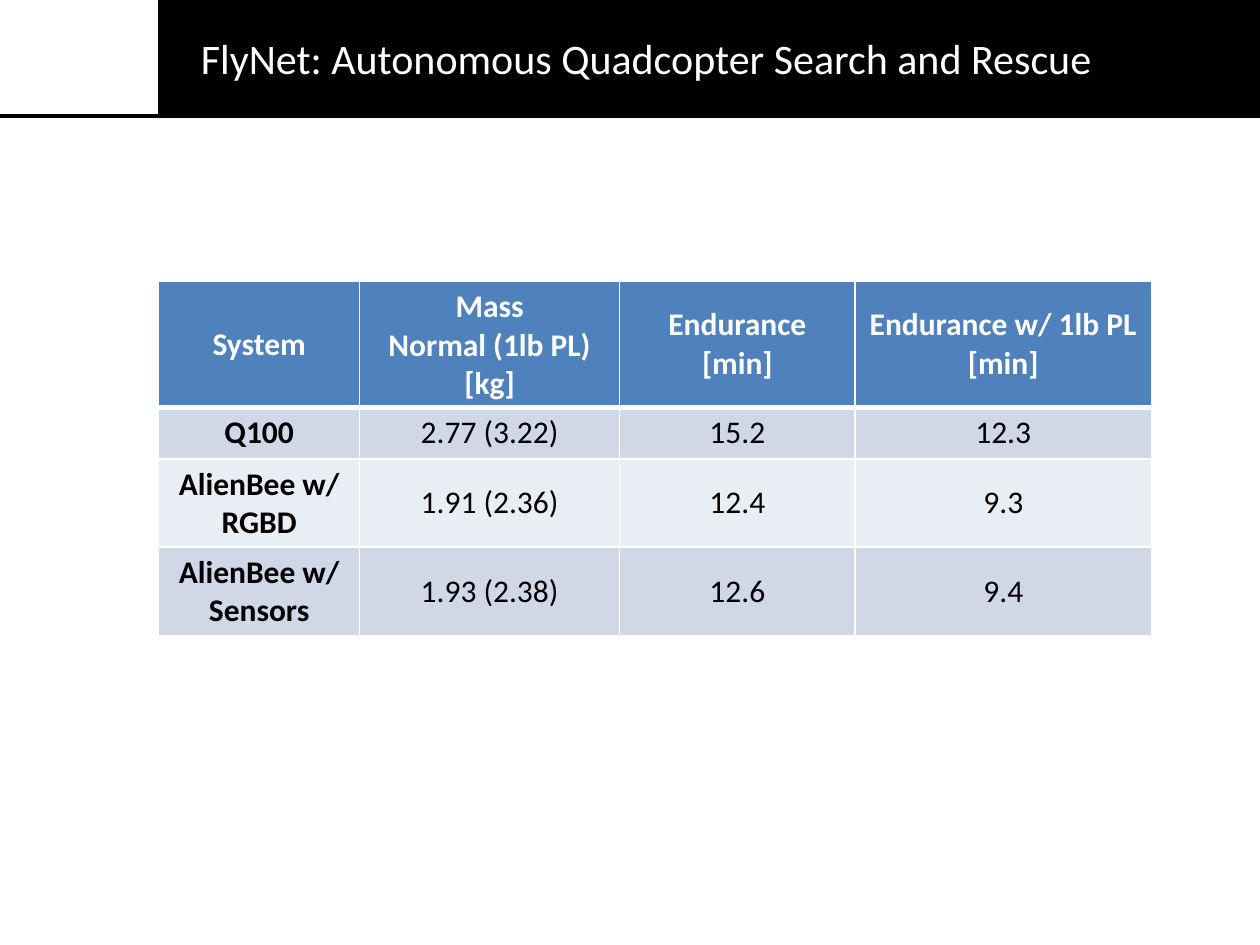
from lxml import etree
from pptx import Presentation
from pptx import util as u
from pptx.dml.color import RGBColor
from pptx.enum import shapes, text
from pptx.oxml import ns

BLACK = RGBColor(0x00, 0x00, 0x00)
WHITE = RGBColor(0xFF, 0xFF, 0xFF)
HEADER_BLUE = RGBColor(0x4F, 0x81, 0xBD)
BAND_DARK = RGBColor(0xD0, 0xD8, 0xE8)
BAND_LIGHT = RGBColor(0xE9, 0xED, 0xF4)
FONT = "Calibri"


def add_run(paragraph, words, size, color, bold=False):
    paragraph.alignment = text.PP_ALIGN.CENTER
    run = paragraph.add_run()
    run.text = words
    run.font.name = FONT
    run.font.size = u.Pt(size)
    run.font.bold = bold
    run.font.color.rgb = color


def set_borders(cell, widths):
    properties = cell._tc.get_or_add_tcPr()
    for position, (side, width) in enumerate(widths.items()):
        border = etree.Element(ns.qn(f"a:ln{side}"), w=str(u.Pt(width)))
        fill = etree.SubElement(border, ns.qn("a:solidFill"))
        etree.SubElement(fill, ns.qn("a:srgbClr"), val=str(WHITE))
        properties.insert(position, border)


presentation = Presentation()
presentation.slide_width = u.Cm(25.4)
presentation.slide_height = u.Cm(19.05)
slide = presentation.slides.add_slide(presentation.slide_layouts[6])

# Rule under the header
rule = slide.shapes.add_connector(
    shapes.MSO_CONNECTOR.STRAIGHT, u.Cm(0), u.Cm(2.34), u.Cm(25.4), u.Cm(2.34))
rule.line.color.rgb = BLACK
rule.line.width = u.Pt(2)
etree.SubElement(rule._element.spPr, ns.qn("a:effectLst"))

# Title bar
bar = slide.shapes.add_shape(
    shapes.MSO_SHAPE.RECTANGLE, u.Cm(3.2), u.Cm(0), u.Cm(22.2), u.Cm(2.31))
bar.shadow.inherit = False
bar.fill.solid()
bar.fill.fore_color.rgb = BLACK
bar.line.color.rgb = BLACK
bar.line.width = u.Pt(0.75)

# Title
title = slide.shapes.add_textbox(u.Cm(3.33), u.Cm(0.53), u.Cm(19.4), u.Cm(1.28))
title.text_frame.word_wrap = True
add_run(title.text_frame.paragraphs[0],
        "FlyNet: Autonomous Quadcopter Search and Rescue", 24, WHITE)

# Endurance table: each cell is a list of paragraphs split at line ends
rows = [
    ["System", "Mass\nNormal (1lb PL)\n[kg]", "Endurance [min]",
     "Endurance w/ 1lb PL [min]"],
    ["Q100", "2.77 (3.22)", "15.2", "12.3"],
    ["AlienBee w/ RGBD", "1.91 (2.36)", "12.4", "9.3"],
    ["AlienBee w/ Sensors", "1.93 (2.38)", "12.6", "9.4"],
]
column_widths = [4.05, 5.24, 4.75, 5.97]
row_heights = [2.52, 1.04, 1.78, 1.78]
table = slide.shapes.add_table(
    len(rows), len(column_widths), u.Cm(3.2), u.Cm(5.67),
    u.Cm(sum(column_widths)), u.Cm(sum(row_heights))).table
for column, width in zip(table.columns, column_widths):
    column.width = u.Cm(width)

for row_index, values in enumerate(rows):
    table.rows[row_index].height = u.Cm(row_heights[row_index])
    is_header = row_index == 0
    band = BAND_DARK if row_index % 2 else BAND_LIGHT
    for column_index, value in enumerate(values):
        cell = table.cell(row_index, column_index)
        cell.vertical_anchor = text.MSO_ANCHOR.MIDDLE
        cell.fill.solid()
        cell.fill.fore_color.rgb = HEADER_BLUE if is_header else band
        # The header is set off by a thicker line
        set_borders(cell, {"L": 1, "R": 1, "T": 3 if row_index == 1 else 1,
                           "B": 3 if is_header else 1})
        for line_index, line in enumerate(value.split("\n")):
            frame = cell.text_frame
            paragraph = frame.add_paragraph() if line_index else frame.paragraphs[0]
            add_run(paragraph, line, 18, WHITE if is_header else BLACK,
                    bold=is_header or column_index == 0)

presentation.save("out.pptx")
